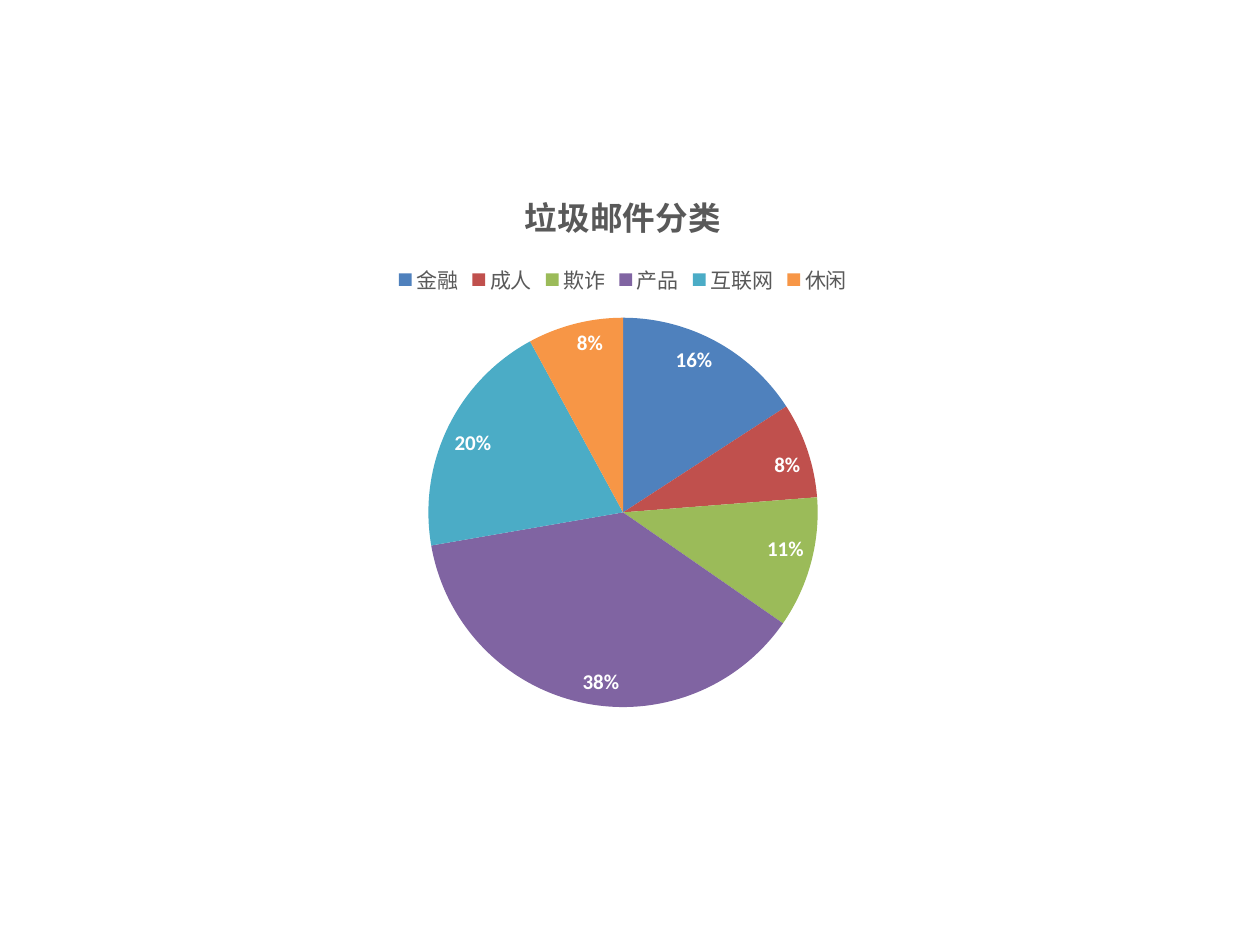
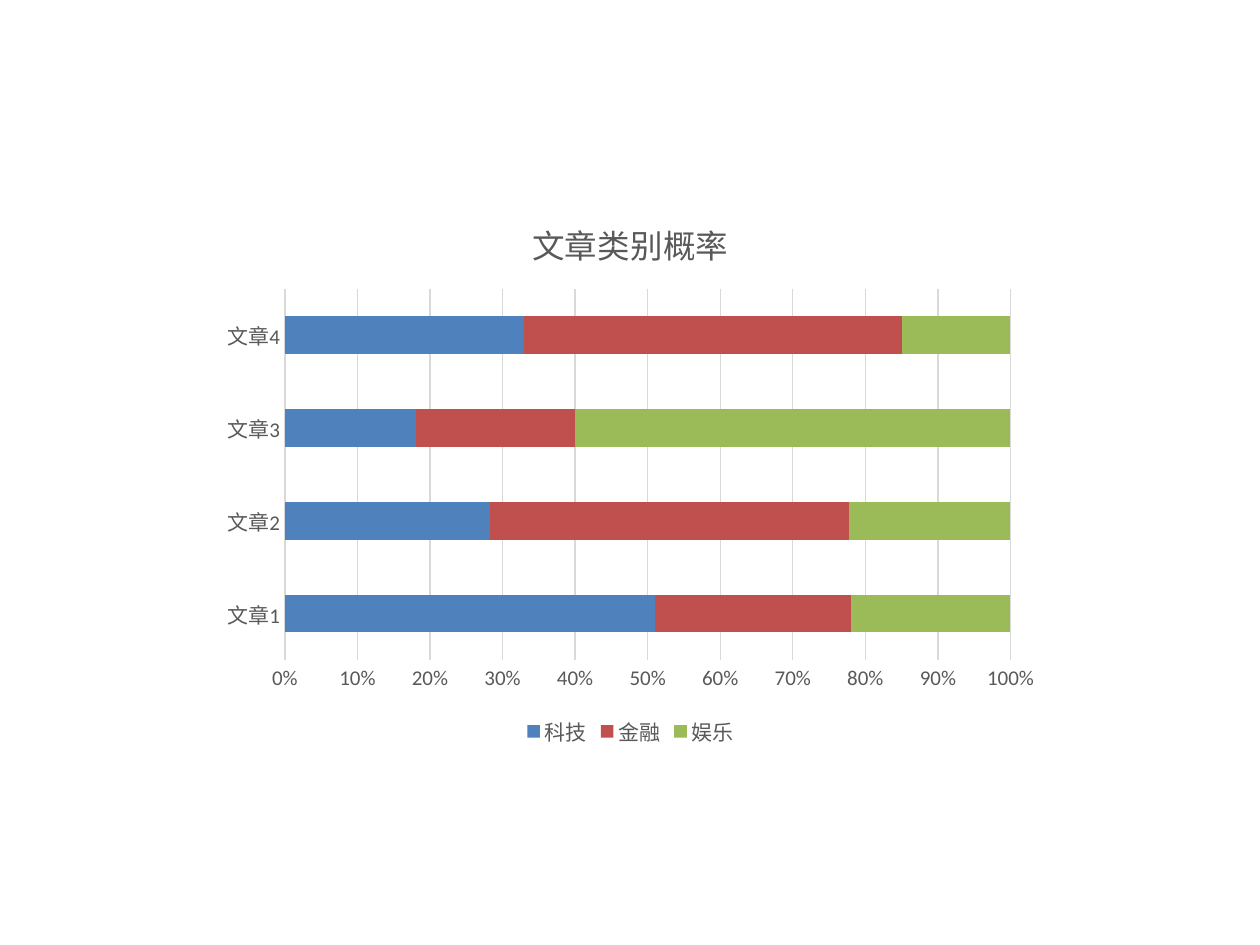
from dataclasses import dataclass

from pptx import Presentation
from pptx.chart.data import CategoryChartData
from pptx.dml.color import RGBColor
from pptx.enum.chart import (
    XL_CHART_TYPE, XL_LABEL_POSITION, XL_LEGEND_POSITION, XL_TICK_MARK)
from pptx.util import Inches, Pt

PIE = XL_CHART_TYPE.PIE
STACKED_BAR = XL_CHART_TYPE.BAR_STACKED_100
LEGEND_TOP = XL_LEGEND_POSITION.TOP
LEGEND_BOTTOM = XL_LEGEND_POSITION.BOTTOM
INSIDE_END = XL_LABEL_POSITION.INSIDE_END
NO_TICK = XL_TICK_MARK.NONE


@dataclass(frozen=True)
class Theme:
    font: str = "Calibri"
    text: str = "595959"
    grid: str = "D9D9D9"
    label: str = "FFFFFF"
    palette: tuple = ("4F81BD", "C0504D", "9BBB59", "8064A2", "4BACC6", "F79646")
    title_size: float = 18.6
    body_size: float = 12
    line_width: float = 0.75


THEME = Theme()
CHART_WIDTH, CHART_HEIGHT = 6.67, 4.44


def format_font(font, size=THEME.body_size, color=THEME.text, bold=False):
    font.name = THEME.font
    font.size = Pt(size)
    font.bold = bold
    font.color.rgb = RGBColor.from_string(color)


def format_line(line):
    line.color.rgb = RGBColor.from_string(THEME.grid)
    line.width = Pt(THEME.line_width)


def fill_in_turn(elements):
    """Give each series or point the next palette colour."""
    for element, color in zip(elements, THEME.palette):
        element.format.fill.solid()
        element.format.fill.fore_color.rgb = RGBColor.from_string(color)


def add_title(chart, text, bold):
    chart.has_title = True
    chart.chart_title.include_in_layout = False
    paragraph = chart.chart_title.text_frame.paragraphs[0]
    run = paragraph.add_run()
    run.text = text
    format_font(run.font, size=THEME.title_size, bold=bold)


def add_legend(chart, position):
    chart.has_legend = True
    chart.legend.position = position
    chart.legend.include_in_layout = False
    format_font(chart.legend.font)


def add_chart_slide(presentation, kind, categories, series, *, left, top,
                    title, bold_title, legend_position):
    """Add a blank slide with one titled chart and return the chart."""
    slide = presentation.slides.add_slide(presentation.slide_layouts[6])
    data = CategoryChartData()
    data.categories = categories
    for name, values in series.items():
        data.add_series(name, values)
    chart = slide.shapes.add_chart(
        kind, Inches(left), Inches(top),
        Inches(CHART_WIDTH), Inches(CHART_HEIGHT), data).chart
    format_font(chart.font)
    add_title(chart, title, bold_title)
    add_legend(chart, legend_position)
    return chart


def style_pie(chart):
    plot = chart.plots[0]
    plot.vary_by_categories = True
    pie = plot.series[0]
    fill_in_turn(pie.points[index] for index in range(len(pie.values)))
    labels = pie.data_labels
    labels.show_percentage = True
    labels.show_value = False
    labels.number_format = "0%"
    labels.number_format_is_linked = False
    labels.position = INSIDE_END
    format_font(labels.font, color=THEME.label, bold=True)


def style_stacked_bars(chart):
    plot = chart.plots[0]
    plot.vary_by_categories = False
    plot.gap_width = 150
    plot.overlap = 100
    fill_in_turn(plot.series)
    for axis in (chart.category_axis, chart.value_axis):
        axis.major_tick_mark = NO_TICK
        axis.minor_tick_mark = NO_TICK
        format_font(axis.tick_labels.font)
    format_line(chart.category_axis.format.line)
    value_axis = chart.value_axis
    value_axis.format.line.fill.background()
    value_axis.has_major_gridlines = True
    format_line(value_axis.major_gridlines.format.line)
    value_axis.tick_labels.number_format = "0%"
    value_axis.tick_labels.number_format_is_linked = False


def main():
    presentation = Presentation()
    presentation.slide_width = Inches(10)
    presentation.slide_height = Inches(7.5)

    spam_title = "垃圾邮件分类"
    spam_chart = add_chart_slide(
        presentation, PIE,
        ["金融", "成人", "欺诈", "产品", "互联网", "休闲"],
        {spam_title: [16, 8, 11, 38, 20, 8]},
        left=1.61, top=1.31, title=spam_title, bold_title=True,
        legend_position=LEGEND_TOP)
    style_pie(spam_chart)

    article_chart = add_chart_slide(
        presentation, STACKED_BAR,
        [f"文章{number}" for number in range(1, 5)],
        {"科技": [51, 28, 18, 33],
         "金融": [27, 49, 22, 52],
         "娱乐": [22, 22, 60, 15]},
        left=1.67, top=1.53, title="文章类别概率", bold_title=False,
        legend_position=LEGEND_BOTTOM)
    style_stacked_bars(article_chart)

    presentation.save("out.pptx")


if __name__ == "__main__":
    main()
